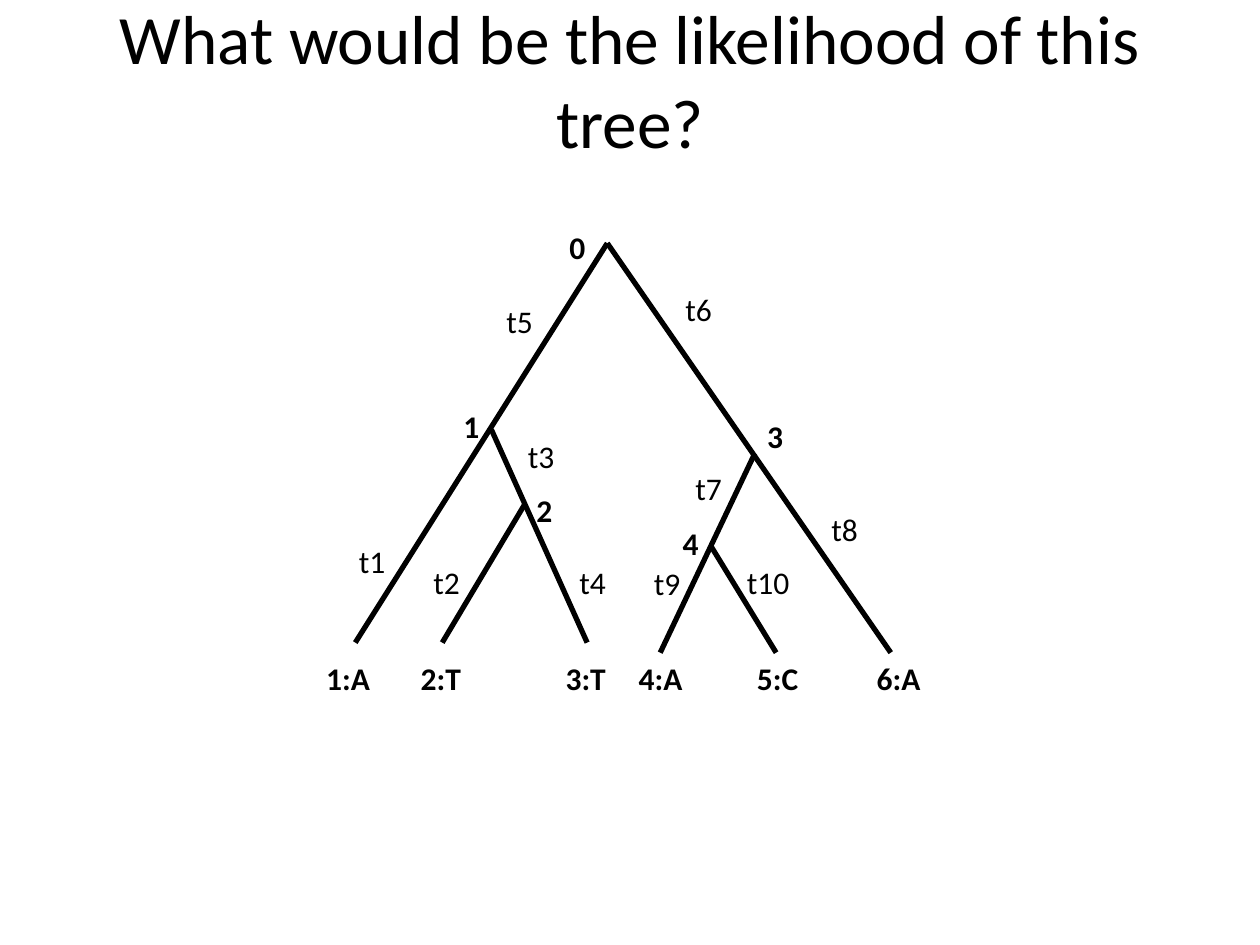
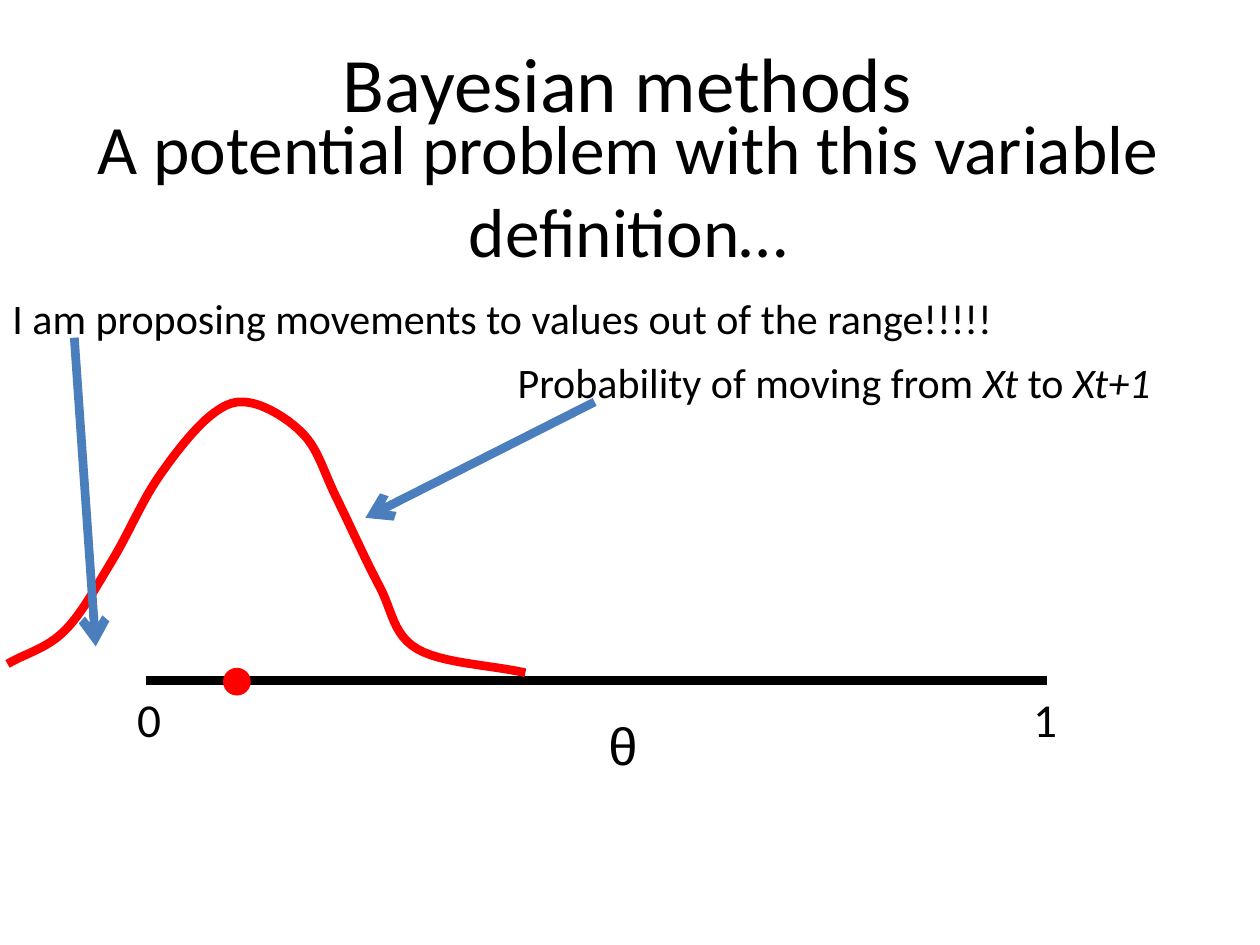
"""Build two slides on phylogenetic likelihood and Bayesian proposals."""
import dataclasses

import pptx
import pptx.dml.color
import pptx.enum.shapes
import pptx.enum.text
import pptx.util
from lxml import etree
from pptx.oxml.ns import qn

Inches = pptx.util.Inches
Pt = pptx.util.Pt


@dataclasses.dataclass(frozen=True)
class Theme:
    """Colours, fonts, type sizes and line widths shared by the slides."""
    ink: str = "000000"
    red: str = "FF0000"
    blue: str = "4B7EBC"
    font: str = "Calibri"
    symbol_font: str = "Arial"
    heading: float = 44
    title: float = 39.6
    symbol: float = 30
    scale: float = 27
    note: float = 24
    label: float = 18
    branch_line: float = 3
    heavy_line: float = 5


THEME = Theme()

TREE_NODES = {
    "0": (4.82, 1.93), "1": (3.9, 3.41), "2": (4.16, 4.01),
    "3": (5.99, 3.6), "4": (5.64, 4.33),
    "1:A": (2.82, 5.1), "2:T": (3.51, 5.1), "3:T": (4.66, 5.1),
    "4:A": (5.24, 5.18), "5:C": (6.16, 5.18), "6:A": (7.07, 5.18),
}
BRANCHES = [("0", "1:A"), ("0", "6:A"), ("3", "4:A"),
            ("4", "5:C"), ("1", "3:T"), ("2", "2:T")]
LEAF_LABEL_TOP = 5.18
LEAF_LABELS = {"1:A": (2.49, 0.55), "2:T": (3.24, 0.52), "3:T": (4.39, 0.52),
               "4:A": (4.97, 0.55), "5:C": (5.91, 0.53), "6:A": (6.86, 0.55)}
NODE_LABELS = {"0": (4.42, 1.76), "1": (3.58, 3.18), "2": (4.16, 3.85),
               "3": (5.99, 3.26), "4": (5.32, 4.11)}
TIME_LABELS = {"t1": (2.75, 4.25), "t2": (3.34, 4.42), "t3": (4.09, 3.42),
               "t4": (4.5, 4.42), "t5": (3.92, 2.35), "t6": (5.34, 2.25),
               "t7": (5.42, 3.67), "t8": (6.5, 4), "t9": (5.09, 4.43),
               "t10": (5.83, 4.42)}
PROPOSAL_CURVE = [(0.06, 5.27), (0.51, 5.01), (0.89, 4.45), (1.25, 3.8),
                  (1.67, 3.3), (2, 3.2), (2.42, 3.46), (2.67, 3.95),
                  (3.01, 4.65), (3.31, 5.15), (4.17, 5.34)]


def color(value):
    """Return an RGB colour from its hexadecimal form."""
    return pptx.dml.color.RGBColor.from_string(value)


def add_text(slide, box, runs, size, bold=False, font=THEME.font):
    """Add a one-line text box; runs is a list of (text, italic) or a string."""
    shape = slide.shapes.add_textbox(*map(Inches, box))
    frame = shape.text_frame
    frame.word_wrap = False
    frame.auto_size = pptx.enum.text.MSO_AUTO_SIZE.SHAPE_TO_FIT_TEXT
    paragraph = frame.paragraphs[0]
    paragraph.font.name = font
    paragraph.font.size = Pt(size)
    paragraph.font.bold = bold
    paragraph.font.color.rgb = color(THEME.ink)
    for text, italic in [(runs, False)] if isinstance(runs, str) else runs:
        run = paragraph.add_run()
        run.text = text
        if italic:
            run.font.italic = True
    return shape


def add_title(slide, box, text, size=THEME.title):
    """Add a centred title that wraps inside its box."""
    shape = add_text(slide, box, text, size)
    frame = shape.text_frame
    frame.word_wrap = True
    frame.auto_size = pptx.enum.text.MSO_AUTO_SIZE.NONE
    frame.vertical_anchor = pptx.enum.text.MSO_ANCHOR.MIDDLE
    frame.paragraphs[0].alignment = pptx.enum.text.PP_ALIGN.CENTER


def add_line(slide, start, end, line_color, width, arrow=False):
    """Add a straight line, with an open arrowhead at its end if asked."""
    connector = slide.shapes.add_connector(
        pptx.enum.shapes.MSO_CONNECTOR.STRAIGHT, *map(Inches, start + end))
    connector.line.color.rgb = color(line_color)
    connector.line.width = Pt(width)
    properties = connector._element.spPr
    if arrow:
        outline = properties.find(qn("a:ln"))
        etree.SubElement(outline, qn("a:tailEnd"), type="arrow")
    etree.SubElement(properties, qn("a:effectLst"))


def smooth_points(knots, steps=12):
    """Return points on a Catmull-Rom spline through the knots."""
    def mirror(end, neighbour):
        return tuple(2 * a - b for a, b in zip(end, neighbour))

    padded = [mirror(knots[0], knots[1]), *knots, mirror(knots[-1], knots[-2])]
    points = [knots[0]]
    for window in zip(padded, padded[1:], padded[2:], padded[3:]):
        for step in range(1, steps + 1):
            t = step / steps
            points.append(tuple(
                b + t * (c - a) / 2
                + t ** 2 * (2 * a - 5 * b + 4 * c - d) / 2
                + t ** 3 * (3 * b - a - 3 * c + d) / 2
                for a, b, c, d in zip(*window)))
    return points


def add_curve(slide, knots, line_color, width):
    """Add an open smooth curve through the knots."""
    points = [tuple(map(Inches, point)) for point in smooth_points(knots)]
    builder = slide.shapes.build_freeform(*points[0])
    builder.add_line_segments(points[1:], close=False)
    shape = builder.convert_to_shape()
    shape.shadow.inherit = False
    shape.fill.background()
    shape.line.color.rgb = color(line_color)
    shape.line.width = Pt(width)


def add_dot(slide, left, top, diameter, fill):
    """Add a filled circle without an outline."""
    shape = slide.shapes.add_shape(
        pptx.enum.shapes.MSO_SHAPE.OVAL,
        *map(Inches, (left, top, diameter, diameter)))
    shape.shadow.inherit = False
    shape.fill.solid()
    shape.fill.fore_color.rgb = color(fill)
    shape.line.fill.background()


def build_tree_slide(slide):
    """Draw the tree with its leaf states, node numbers and branch times."""
    add_title(slide, (0.5, 0, 9, 1.25),
              "What would be the likelihood of this tree?")
    for start, end in BRANCHES:
        add_line(slide, TREE_NODES[start], TREE_NODES[end],
                 THEME.ink, THEME.branch_line)
    for text, (left, width) in LEAF_LABELS.items():
        add_text(slide, (left, LEAF_LABEL_TOP, width, 0.4), text,
                 THEME.label, bold=True)
    for text, place in NODE_LABELS.items():
        add_text(slide, (*place, 0.33, 0.4), text, THEME.label, bold=True)
    for text, place in TIME_LABELS.items():
        width = 0.41 if len(text) == 2 else 0.54
        add_text(slide, (*place, width, 0.4), text, THEME.label)


def build_proposal_slide(slide):
    """Draw the proposal curve running past the lower end of the range."""
    add_title(slide, (0.33, 0.95, 9.31, 1.09),
              "A potential problem with this variable definition…")
    add_line(slide, (8.31, 5.4), (1.16, 5.4), THEME.ink, THEME.heavy_line)
    add_text(slide, (4.73, 5.61, 0.42, 0.61), "θ", THEME.symbol,
             font=THEME.symbol_font)
    for text, left in (("0", 0.99), ("1", 8.1)):
        add_text(slide, (left, 5.43, 0.39, 0.56), text, THEME.scale)
    add_dot(slide, 1.77, 5.3, 0.22, THEME.red)
    add_curve(slide, PROPOSAL_CURVE, THEME.red, THEME.heavy_line)
    for start, end in (((4.72, 3.19), (2.9, 4.11)),
                       ((0.59, 2.68), (0.76, 5.13))):
        add_line(slide, start, end, THEME.blue, THEME.heavy_line, arrow=True)
    add_text(slide, (4.01, 2.78, 5.27, 0.5),
             [("Probability of moving from ", False), ("Xt", True),
              (" to ", False), ("Xt+1", True)], THEME.note)
    add_text(slide, (0, 2.27, 8.05, 0.5),
             "I am proposing movements to values out of the range!!!!!",
             THEME.note)
    add_title(slide, (0.67, 0.1, 8.62, 1.09), "Bayesian methods",
              THEME.heading)


def main():
    """Build both slides and save the presentation."""
    presentation = pptx.Presentation()
    presentation.slide_width = Inches(10)
    presentation.slide_height = Inches(7.5)
    blank = presentation.slide_layouts[6]
    for build in (build_tree_slide, build_proposal_slide):
        build(presentation.slides.add_slide(blank))
    presentation.save("out.pptx")


if __name__ == "__main__":
    main()
